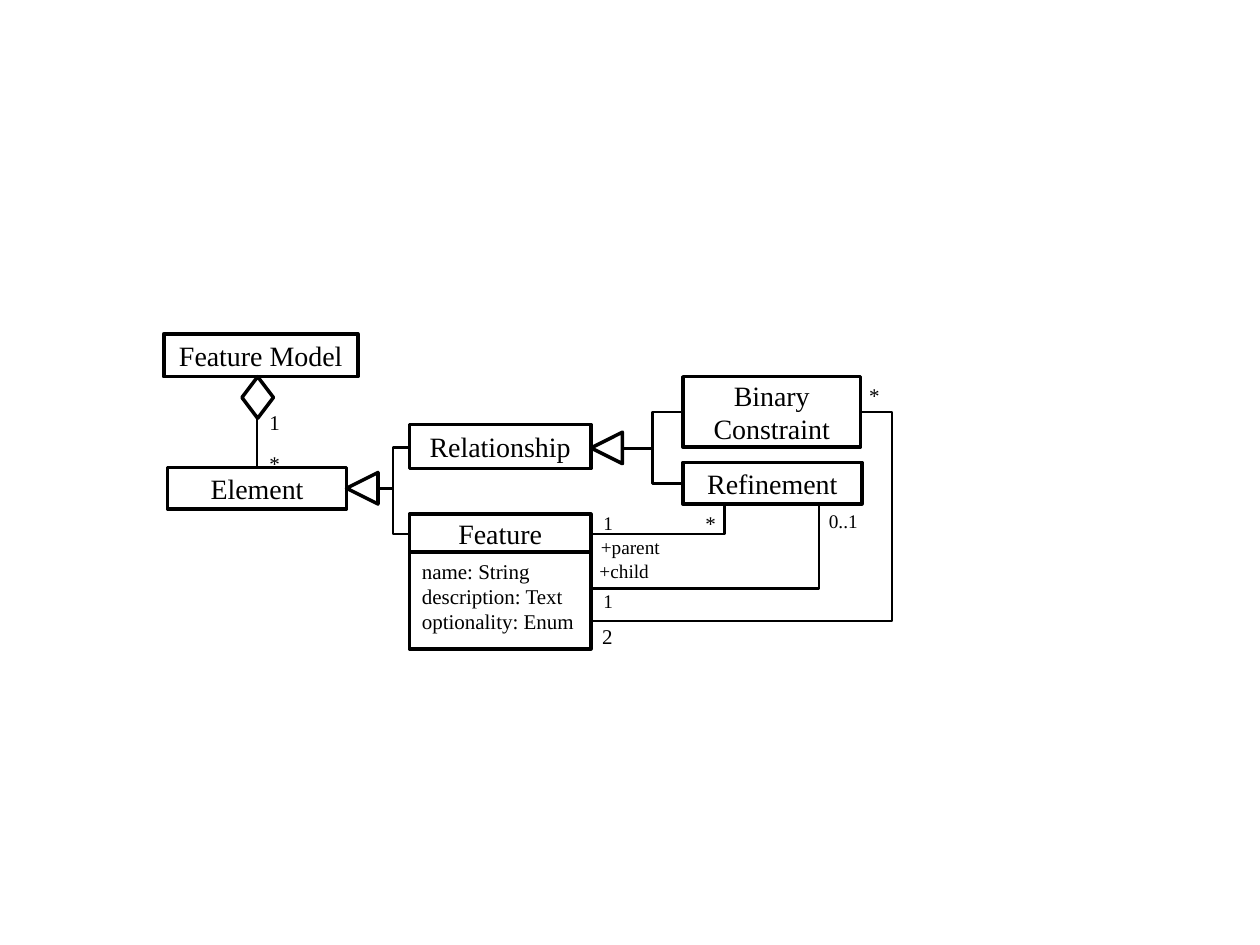
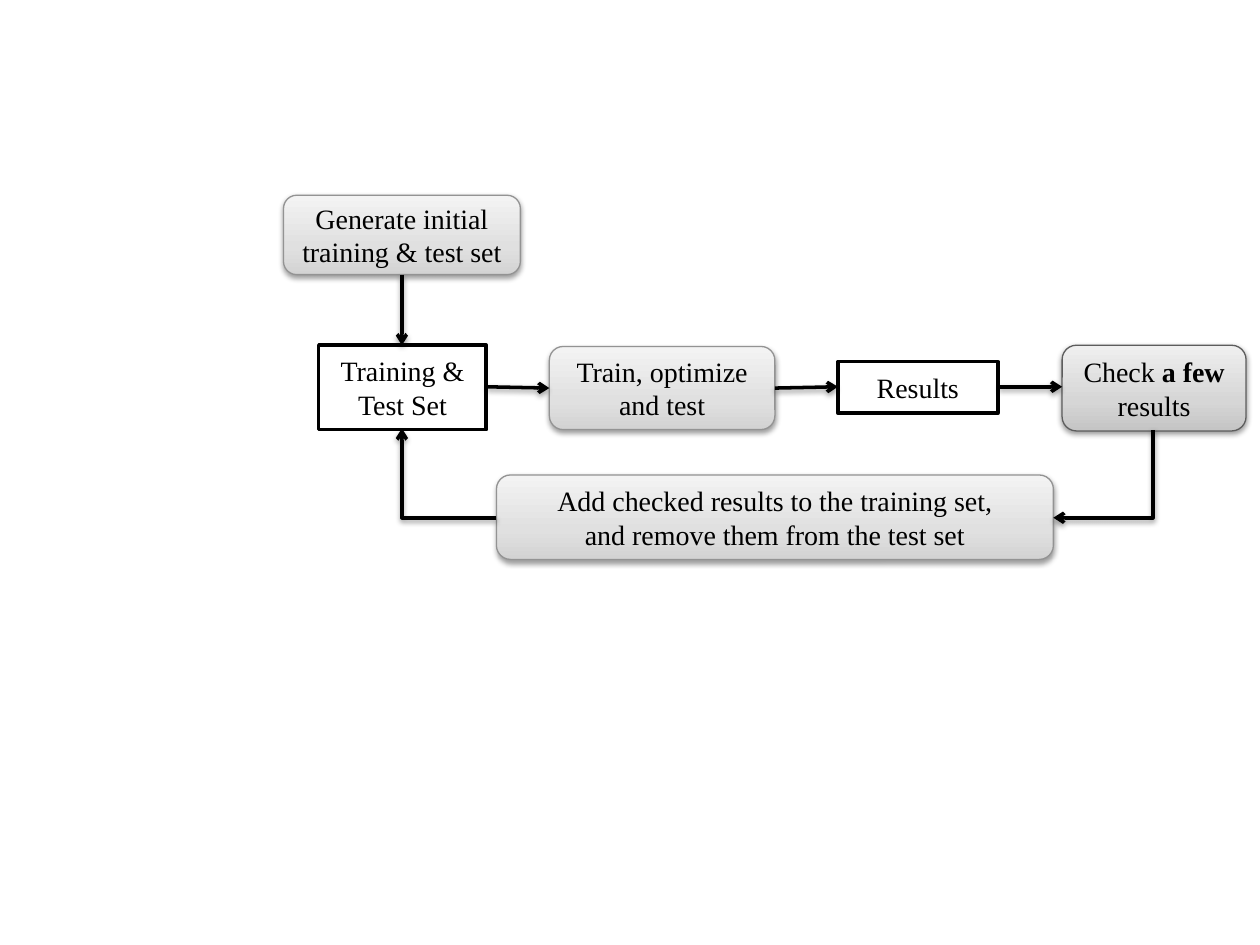
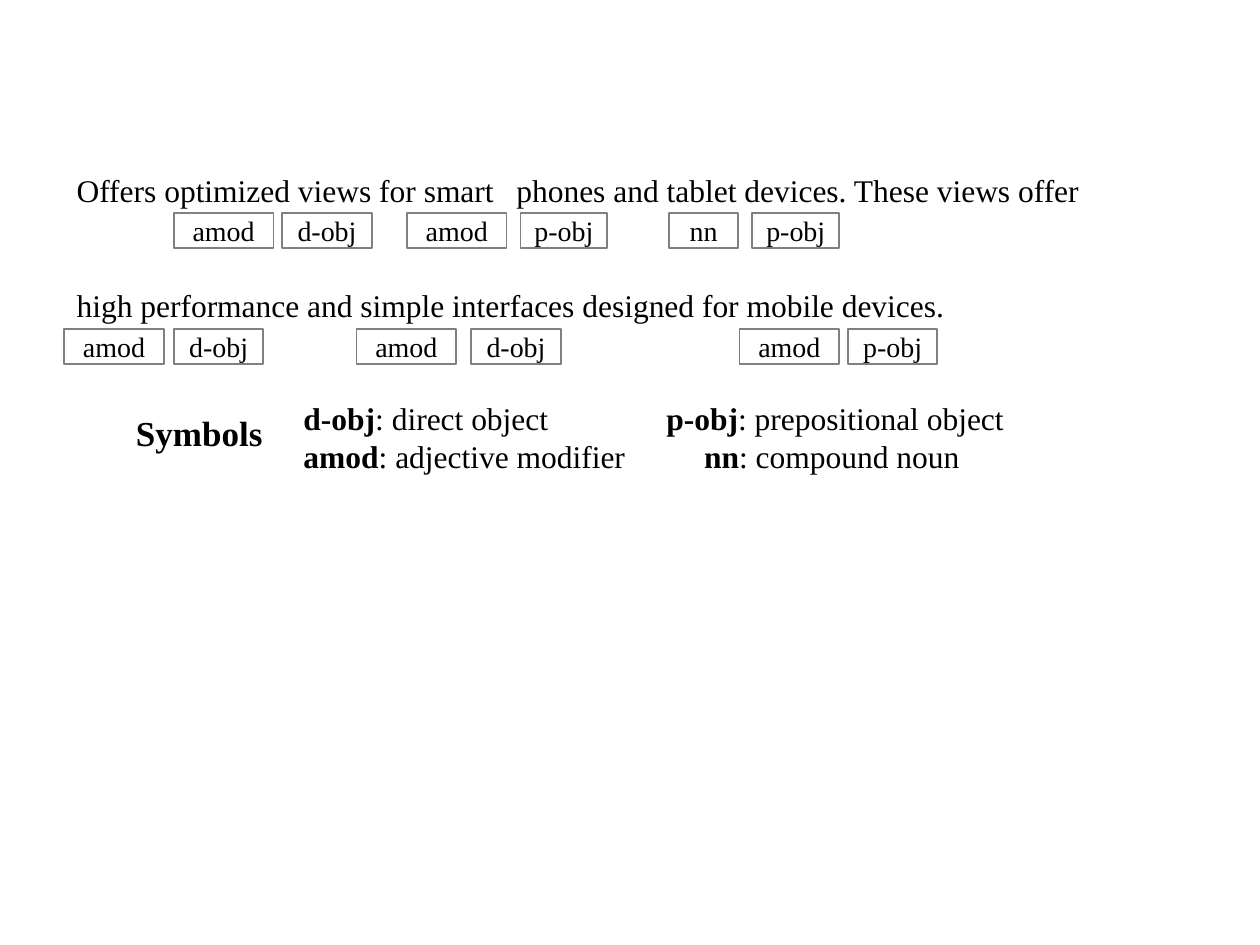
from lxml.etree import SubElement
from pptx import Presentation
from pptx.dml.color import RGBColor
from pptx.enum.shapes import MSO_CONNECTOR as Wire, MSO_SHAPE as Form
from pptx.enum.text import MSO_ANCHOR as Anchor, MSO_AUTO_SIZE as Fit, PP_ALIGN as Align
from pptx.oxml.ns import qn
from pptx.util import Pt

PX = 9144  # EMU per px, 100 px to the inch
FONT = "Times New Roman"
BLACK = RGBColor(0x00, 0x00, 0x00)
WHITE = RGBColor(0xFF, 0xFF, 0xFF)
GRAY = RGBColor(0x80, 0x80, 0x80)
SOFT_EDGE = RGBColor(0x93, 0x93, 0x93)
DARK_EDGE = RGBColor(0x5D, 0x5D, 0x5D)
SOFT_FILL = [RGBColor(0xD3, 0xD3, 0xD3), RGBColor(0xE0, 0xE0, 0xE0), RGBColor(0xF3, 0xF3, 0xF3)]
DARK_FILL = [RGBColor(0xC5, 0xC5, 0xC5), RGBColor(0xD6, 0xD6, 0xD6), RGBColor(0xEF, 0xEF, 0xEF)]
STOPS = [0, 35000, 100000]


class Sketch:
    """Holds the drawing style and the current slide."""

    def __init__(self):
        self.deck = Presentation()
        self.deck.slide_width, self.deck.slide_height = 1000 * PX, 750 * PX
        self.page = None

    def new_page(self):
        self.page = self.deck.slides.add_slide(self.deck.slide_layouts[6])

    def add_lines(self, frame, lines, size, align=Align.LEFT, gap=0, tabs=()):
        """Fill a frame; ** in a line switches bold on and off."""
        for index, line in enumerate(lines):
            para = frame.paragraphs[0] if index == 0 else frame.add_paragraph()
            para.alignment = align
            if index and gap:
                para.space_before = Pt(gap)
            if index < len(tabs):
                tab_list = SubElement(para._p.get_or_add_pPr(), qn("a:tabLst"))
                SubElement(tab_list, qn("a:tab"), pos=str(tabs[index] * PX), algn="l")
            for order, words in enumerate(line.split("**")):
                if words:
                    span = para.add_run()
                    span.text = words
                    span.font.name, span.font.size = FONT, Pt(size)
                    span.font.bold = order % 2 == 1
                    span.font.color.rgb = BLACK

    def shape(self, area, form=Form.RECTANGLE, edge=BLACK, weight=2, turn=0):
        box = self.page.shapes.add_shape(form, *(n * PX for n in area))
        box.shadow.inherit = False
        box.fill.solid()
        box.fill.fore_color.rgb = WHITE
        box.line.color.rgb = edge
        box.line.width = Pt(weight)
        box.rotation = turn
        return box

    def box(self, area, *lines, size=16, align=Align.CENTER, anchor=Anchor.MIDDLE, **look):
        box = self.shape(area, **look)
        box.text_frame.word_wrap = True
        box.text_frame.vertical_anchor = anchor
        self.add_lines(box.text_frame, lines, size, align)
        return box

    def step(self, area, *lines, shades=SOFT_FILL, edge=SOFT_EDGE):
        box = self.box(area, *lines, form=Form.ROUNDED_RECTANGLE, edge=edge, weight=0.75)
        box.fill.gradient()
        box.fill.gradient_angle = 90
        stop_list = box._element.spPr.find(".//" + qn("a:gsLst"))
        stop_list.clear()
        for place, shade in zip(STOPS, shades):
            stop = SubElement(stop_list, qn("a:gs"), pos=str(place))
            SubElement(stop, qn("a:srgbClr"), val=str(shade))
        self.cast_shadow(box._element.spPr.find(qn("a:effectLst")))

    def text(self, area, *lines, size, wrap=False, **layout):
        box = self.page.shapes.add_textbox(*(n * PX for n in area))
        box.text_frame.word_wrap = wrap
        box.text_frame.auto_size = Fit.SHAPE_TO_FIT_TEXT
        self.add_lines(box.text_frame, lines, size, **layout)

    def cast_shadow(self, effects):
        shadow = SubElement(effects, qn("a:outerShdw"), blurRad="40000", dist="20000",
                            dir="5400000", rotWithShape="0")
        color = SubElement(shadow, qn("a:srgbClr"), val=str(BLACK))
        SubElement(color, qn("a:alpha"), val="38000")

    def line(self, start, end, kind=Wire.STRAIGHT, weight=1.5, arrow=None):
        wire = self.page.shapes.add_connector(kind, *(n * PX for n in (*start, *end)))
        wire.line.color.rgb = BLACK
        wire.line.width = Pt(weight)
        props = wire._element.spPr
        effects = SubElement(props, qn("a:effectLst"))
        if arrow:
            SubElement(props.find(qn("a:ln")), qn(arrow), type="arrow")
            self.cast_shadow(effects)
        return props.find(qn("a:prstGeom"))

    def bend(self, start, end, turn_x):
        """Elbow with its vertical part at turn_x."""
        outline = self.line(start, end, Wire.ELBOW)
        share = round(100000 * (turn_x - start[0]) / (end[0] - start[0]))
        guides = outline.find(qn("a:avLst"))
        SubElement(guides, qn("a:gd"), name="adj1", fmla=f"val {share}")

    def corner(self, start, end, arrow):
        """Goes sideways first, then up."""
        self.line(start, end, Wire.ELBOW, 2, arrow).set("prst", "bentConnector2")


def feature_model(sketch):
    sketch.new_page()
    # Classes
    for area, name in [
        ((325, 337, 144, 35), "Relationship"),
        ((133, 371, 142, 33), "Element"),
        ((325, 408, 144, 31), "Feature"),
        ((542, 367, 142, 33), "Refinement"),
        ((542, 299, 141, 56), "Binary Constraint"),
        ((130, 265, 154, 34), "Feature Model"),
    ]:
        sketch.box(area, name)
    # Associations and inheritance
    for start, end, turn_x in [
        ((469, 424), (575, 400), 575),
        ((469, 467), (650, 400), 650),
        ((683, 327), (469, 493), 708),
        ((300, 388), (325, 355), 312),
        ((300, 388), (325, 424), 312),
        ((494, 356), (542, 327), 518),
        ((494, 356), (542, 384), 518),
    ]:
        sketch.bend(start, end, turn_x)
    sketch.line((204, 332), (204, 371))
    sketch.box((325, 438, 144, 77), "name: String", "description: Text",
               "optionality: Enum", size=12, align=Align.LEFT, anchor=Anchor.TOP)
    # Line ends
    for left, top in [(275, 375), (469, 343)]:
        sketch.shape((left, top, 25, 25), Form.ISOSCELES_TRIANGLE, turn=270)
    sketch.shape((192, 299, 25, 33), Form.DIAMOND)
    # Roles and multiplicities
    for area, label, size in [
        ((467, 420, 70, 29), "+parent", 11),
        ((466, 439, 60, 29), "+child", 11),
        ((469, 401, 28, 29), "1", 11),
        ((469, 463, 28, 29), "1", 11),
        ((648, 399, 44, 29), "0..1", 11),
        ((468, 490, 29, 30), "2", 12),
        ((550, 400, 29, 30), "*", 12),
        ((680, 299, 29, 30), "*", 12),
        ((204, 353, 29, 30), "*", 12),
        ((204, 320, 29, 30), "1", 12),
    ]:
        sketch.text(area, label, size=size)


def training_loop(sketch):
    sketch.new_page()
    # Steps
    sketch.step((225, 155, 188, 63), "Generate initial training & test set")
    sketch.step((436, 275, 179, 66), "Train, optimize and test")
    sketch.step((843, 274, 146, 68), "Check **a few** results", shades=DARK_FILL, edge=DARK_EDGE)
    sketch.step((394, 377, 442, 67), "Add checked results to the training set,",
                "and remove them from the test set")
    # Data
    sketch.box((253, 274, 133, 67), "Training & Test Set")
    sketch.box((665, 287, 127, 41), "Results")
    # Flow
    for start, end in [
        ((319, 218), (319, 274)),
        ((386, 307), (436, 308)),
        ((615, 308), (665, 307)),
        ((793, 307), (843, 307)),
    ]:
        sketch.line(start, end, weight=2, arrow="a:tailEnd")
    sketch.corner((836, 411), (915, 341), "a:headEnd")
    sketch.corner((394, 411), (319, 340), "a:tailEnd")


def tagged_sentences(sketch):
    sketch.new_page()
    sketch.text((51, 131, 843, 131),
                "Offers optimized views for smart\tphones and tablet devices. These views offer",
                "high performance and simple interfaces designed for mobile devices.",
                size=18, wrap=True, gap=44, tabs=[349])
    # Tags under the words
    tag_rows = {
        169: [(138, 79, "amod"), (224, 71, "d-obj"), (323, 79, "amod"),
              (413, 69, "p-obj"), (531, 55, "nn"), (597, 69, "p-obj")],
        261: [(51, 79, "amod"), (138, 71, "d-obj"), (283, 79, "amod"),
              (374, 71, "d-obj"), (587, 79, "amod"), (673, 71, "p-obj")],
    }
    for top, tags in tag_rows.items():
        for left, width, tag in tags:
            sketch.box((left, top, width, 28), tag, edge=GRAY, weight=1)
    # Legend
    sketch.text((98, 322, 121, 44), "**Symbols**", size=20)
    sketch.text((231, 312, 591, 71),
                "**d-obj**: direct object\t**p-obj**: prepositional object",
                "**amod**: adjective modifier\t**nn**: compound noun",
                size=18, wrap=True, tabs=[288, 318])


def main():
    sketch = Sketch()
    feature_model(sketch)
    training_loop(sketch)
    tagged_sentences(sketch)
    sketch.deck.save("out.pptx")


if __name__ == "__main__":
    main()
